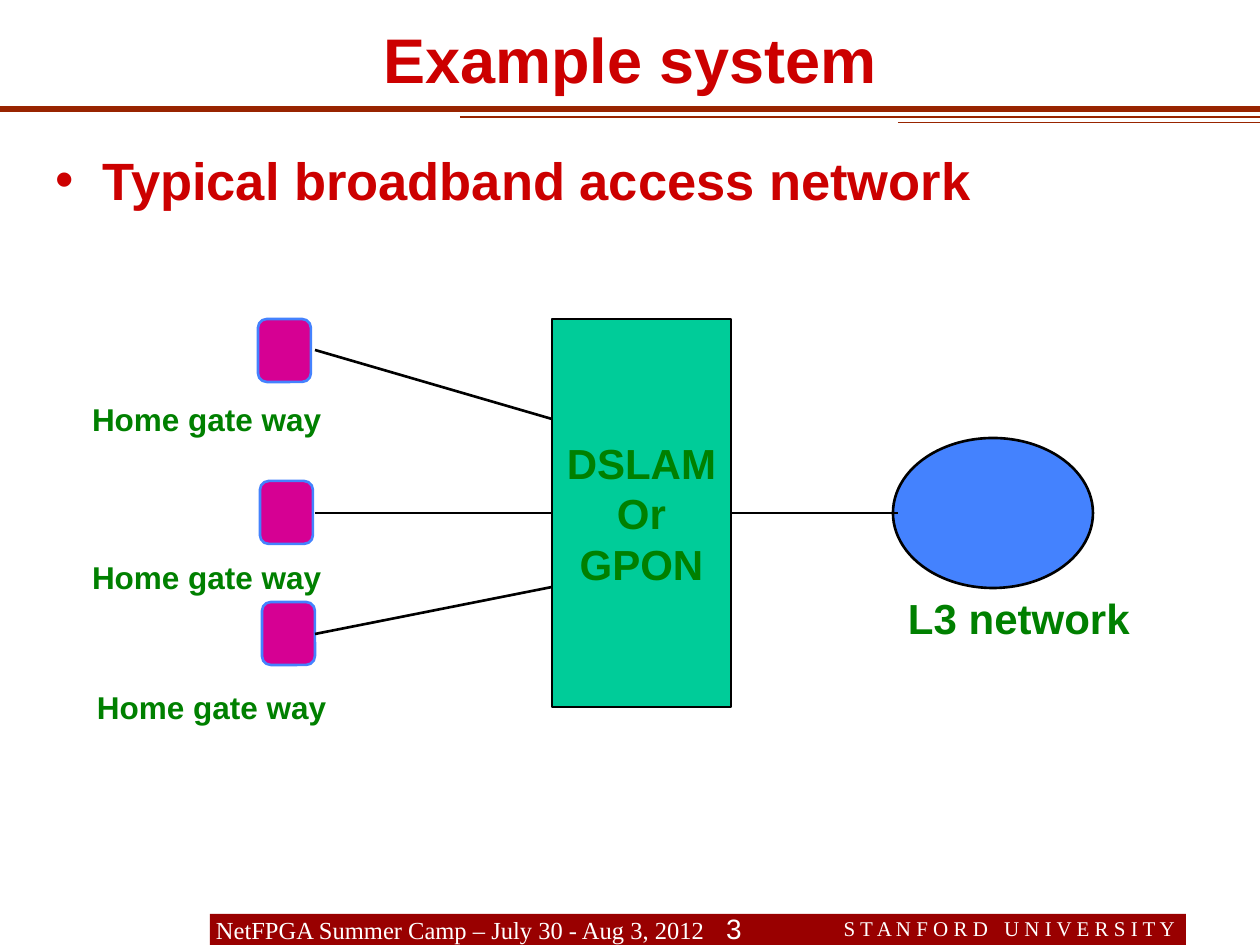
"""Build the slide showing a typical broadband access network."""
from lxml import etree
from pptx import Presentation
from pptx import util as u
from pptx.dml.color import RGBColor
from pptx.enum import shapes, text
from pptx.oxml.ns import qn

PX = 914400 / 126
THEME = {
    "heading": "CC0000", "label": "008000", "rule": "982400", "footer": "990000",
    "white": "FFFFFF", "black": "000000", "hub": "00CC99", "gateway": "D60093",
    "network": "4482FE", "sans": "Arial", "serif": "Times New Roman",
    "title_size": 36, "body_size": 30, "large_size": 24, "label_size": 18,
    "number_size": 16, "footer_size": 14, "small_size": 12,
}
LEFT, CENTER, RIGHT = text.PP_ALIGN.LEFT, text.PP_ALIGN.CENTER, text.PP_ALIGN.RIGHT
TOP, MIDDLE = text.MSO_ANCHOR.TOP, text.MSO_ANCHOR.MIDDLE


def write(shape, lines, size, color, align=LEFT, anchor=TOP, margins=(13, 6),
          face="sans", bold=True, wrap=True):
    across, down = (u.Emu(round(margin * PX)) for margin in margins)
    frame = shape.text_frame
    frame.text = "\n".join(lines)
    frame_format = {
        "auto_size": text.MSO_AUTO_SIZE.NONE, "word_wrap": wrap, "vertical_anchor": anchor,
        "margin_left": across, "margin_right": across, "margin_top": down, "margin_bottom": down,
    }
    font_format = {"name": THEME[face], "size": u.Pt(THEME[size]), "bold": bold}
    for name, value in frame_format.items():
        setattr(frame, name, value)
    for paragraph in frame.paragraphs:
        paragraph.alignment = align
        paragraph.space_before = u.Pt(0)
        for run in paragraph.runs:
            for name, value in font_format.items():
                setattr(run.font, name, value)
            run.font.color.rgb = RGBColor.from_string(THEME[color])


def box(*lengths):
    return [u.Emu(round(length * PX)) for length in lengths]


presentation = Presentation()
presentation.slide_width, presentation.slide_height = u.Inches(10), u.Inches(7.5)
slide = presentation.slides.add_slide(presentation.slide_layouts[1])
title, body = slide.placeholders

for placeholder, bounds in ((title, box(0, 0, 1260, 116)), (body, box(42, 142, 1166, 697))):
    for name, value in zip(("left", "top", "width", "height"), bounds):
        setattr(placeholder, name, value)
write(title, ["Example system"], "title_size", "heading", CENTER, MIDDLE, (38, 6))
write(body, ["Typical broadband access network"], "body_size", "heading")
properties = body.text_frame.paragraphs[0]._p.get_or_add_pPr()
properties.set("marL", str(u.Inches(0.38)))
properties.set("indent", str(u.Inches(-0.38)))
etree.SubElement(properties, qn("a:buChar")).set("char", "•")

shape_kinds = shapes.MSO_SHAPE
gateways = [(258, 319), (260, 481), (262, 602)]
blocks = [
    (shape_kinds.RECTANGLE, (210, 914, 976, 31), "footer", None),
    (shape_kinds.RECTANGLE, (552, 319, 179, 388), "hub", "black"),
    (shape_kinds.OVAL, (893, 438, 200, 150), "network", "black"),
] + [(shape_kinds.ROUNDED_RECTANGLE, (x, y, 53, 63), "gateway", "network") for x, y in gateways]
drawn = []
for kind, bounds, fill, outline in blocks:
    shape = slide.shapes.add_shape(kind, *box(*bounds))
    shape.shadow.inherit = False
    shape.fill.solid()
    shape.fill.fore_color.rgb = RGBColor.from_string(THEME[fill])
    if outline:
        shape.line.color.rgb = RGBColor.from_string(THEME[outline])
        shape.line.width = u.Pt(1.5)
    else:
        shape.line.fill.background()
    drawn.append(shape)
footer, hub = drawn[:2]
write(footer, ["NetFPGA Summer Camp – July 30 - Aug 3, 2012"], "footer_size", "white",
      anchor=MIDDLE, margins=(6, 0), face="serif", bold=False)
write(hub, ["DSLAM", "Or GPON"], "large_size", "label", CENTER, MIDDLE, (0, 6))

lines = [
    ((0, 109, 1260, 109), "rule", 3),
    ((460, 117, 1260, 117), "rule", 0.75),
    ((898, 122, 1260, 122), "rule", 0.5),
    ((315, 350, 552, 419), "black", 1.5),
    ((315, 513, 552, 513), "black", 1.5),
    ((315, 634, 552, 587), "black", 1.5),
    ((731, 513, 898, 513), "black", 1.5),
]
for ends, color, width in lines:
    line = slide.shapes.add_connector(shapes.MSO_CONNECTOR.STRAIGHT, *box(*ends))
    line.line.color.rgb = RGBColor.from_string(THEME[color])
    line.line.width = u.Pt(width)
    etree.SubElement(line._element.spPr, qn("a:effectLst"))

for x, y in ((79, 394), (79, 552), (84, 682)):
    label = slide.shapes.add_textbox(*box(x, y, 273, 50))
    write(label, ["Home gate way"], "label_size", "label")
network_label = slide.shapes.add_textbox(*box(895, 587, 247, 63))
write(network_label, ["L3 network"], "large_size", "label", wrap=False)
number = slide.shapes.add_textbox(*box(666, 907, 136, 42))
write(number, ["3"], "number_size", "white", CENTER, MIDDLE, (0, 0), bold=False, wrap=False)

university = slide.shapes.add_textbox(*box(735, 910, 478, 38))
write(university, ["S T A N F O R D"], "small_size", "white", RIGHT,
      margins=(38, 6), face="serif", bold=False)
paragraph = university.text_frame.paragraphs[0]
for words, spacing in ((" ", 600), ("U N I V E R S I T Y", 0)):
    run = paragraph.add_run()
    run.text = words
    run.font.name, run.font.size = THEME["serif"], u.Pt(THEME["small_size"])
    run.font.color.rgb = RGBColor.from_string(THEME["white"])
    run._r.get_or_add_rPr().set("spc", str(spacing))

presentation.save("out.pptx")
